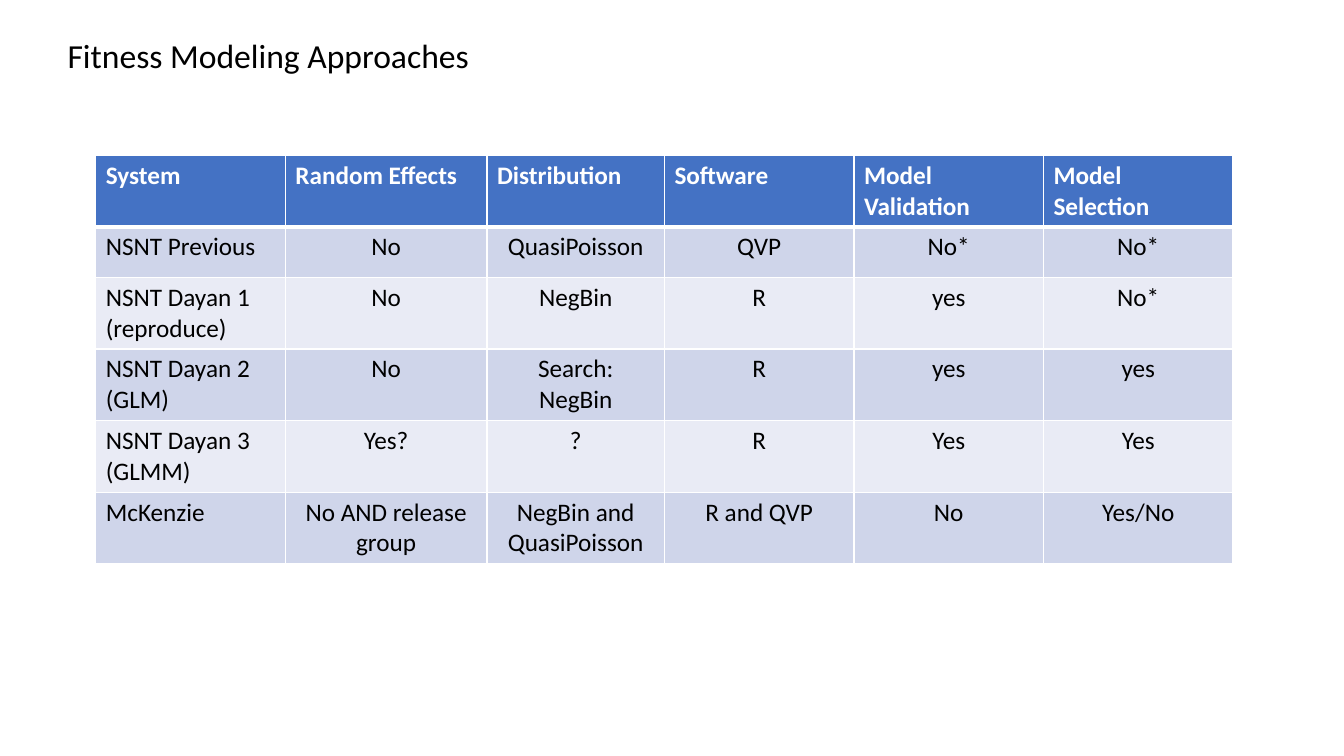
from lxml import etree
from pptx import Presentation
from pptx import util as u
from pptx.dml.color import RGBColor
from pptx.enum import text
from pptx.oxml import ns

PX = 9144  # EMU per px, 100 px to the inch

HEADINGS = ["System", "Random Effects", "Distribution", "Software",
            "Model Validation", "Model Selection"]
MODELS = [
    ["NSNT Previous", "No", "QuasiPoisson", "QVP", "No*", "No*"],
    ["NSNT Dayan 1 (reproduce)", "No", "NegBin", "R", "yes", "No*"],
    ["NSNT Dayan 2\n(GLM)", "No", "Search:\nNegBin", "R", "yes", "yes"],
    ["NSNT Dayan 3\n(GLMM)", "Yes?", "?", "R", "Yes", "Yes"],
    ["McKenzie", "No AND release group", "NegBin and QuasiPoisson",
     "R and QVP", "No", "Yes/No"],
]
COLUMN_WIDTHS = [188, 200, 176, 188, 188, 188]
ROW_HEIGHT = 50


def px(length):
    return u.Emu(length * PX)


def colour(hex_string):
    return RGBColor.from_string(hex_string)


class SlideBuilder:
    font = "Calibri"
    ink = "000000"
    paper = "FFFFFF"
    header = "4472C4"
    bands = ["CFD5EA", "E9EBF5"]

    def __init__(self, deck):
        self.page = deck.slides.add_slide(deck.slide_layouts[5])

    def style(self, frame, size, ink, bold=False, align=text.PP_ALIGN.LEFT):
        for paragraph in frame.paragraphs:
            paragraph.alignment = align
            for span in paragraph.runs:
                span.font.name = self.font
                span.font.size = u.Pt(size)
                span.font.bold = bold
                span.font.color.rgb = colour(ink)

    def title(self, words, left, top, width, height):
        box = self.page.shapes.title
        box.left, box.top, box.width, box.height = map(px, (left, top, width, height))
        frame = box.text_frame
        frame.text = words
        frame.word_wrap = False
        frame.auto_size = text.MSO_AUTO_SIZE.NONE
        frame.vertical_anchor = text.MSO_ANCHOR.TOP
        self.style(frame, 24, self.ink)

    def border(self, cell, side, points):
        """Draw one edge (L, R, T or B); call before filling the cell."""
        line = etree.SubElement(cell._tc.get_or_add_tcPr(), ns.qn("a:ln" + side),
                                w=str(u.Pt(points)))
        fill = etree.SubElement(line, ns.qn("a:solidFill"))
        etree.SubElement(fill, ns.qn("a:srgbClr"), val=self.paper)

    def table(self, rows, left, top, widths, row_height):
        frame = self.page.shapes.add_table(
            len(rows), len(widths), px(left), px(top),
            px(sum(widths)), px(row_height * len(rows)))
        grid = frame.table
        for column, width in zip(grid.columns, widths):
            column.width = px(width)
        for r, row in enumerate(rows):
            grid.rows[r].height = px(row_height)
            for c, words in enumerate(row):
                self.cell(grid.cell(r, c), words, r, c)

    def cell(self, cell, words, r, c):
        is_header = r == 0
        thickness = {"L": 1, "R": 1, "T": 3 if r == 1 else 1, "B": 3 if is_header else 1}
        for side, points in thickness.items():
            self.border(cell, side, points)
        cell.fill.solid()
        cell.fill.fore_color.rgb = colour(
            self.header if is_header else self.bands[(r - 1) % 2])
        cell.text_frame.text = words
        centred = not is_header and c > 0
        self.style(cell.text_frame, 18, self.paper if is_header else self.ink, is_header,
                   text.PP_ALIGN.CENTER if centred else text.PP_ALIGN.LEFT)


def main():
    deck = Presentation()
    deck.slide_width, deck.slide_height = u.Inches(13.33), u.Inches(7.5)
    slide = SlideBuilder(deck)
    slide.title("Fitness Modeling Approaches", 57, 30, 422, 50)
    slide.table([HEADINGS] + MODELS, 95, 154, COLUMN_WIDTHS, ROW_HEIGHT)
    deck.save("out.pptx")


if __name__ == "__main__":
    main()
